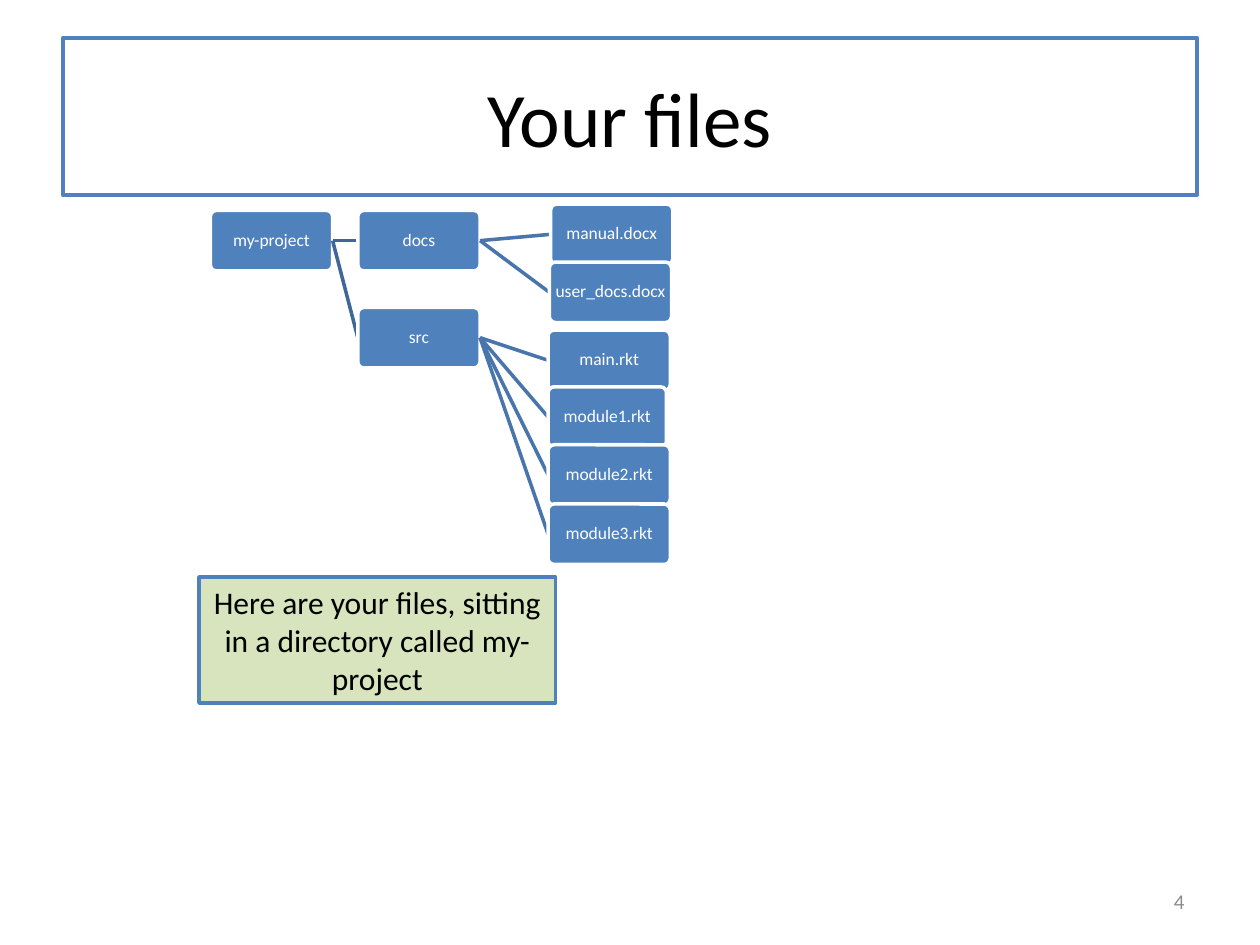
"""Build the "Your files" slide: a directory tree on a grid of 100 columns by 75 rows."""
from lxml.etree import SubElement
from pptx import Presentation
from pptx.dml.color import RGBColor
from pptx.enum.shapes import MSO_CONNECTOR, MSO_SHAPE
from pptx.enum.text import MSO_ANCHOR, PP_ALIGN
from pptx.oxml.ns import qn
from pptx.util import Inches, Pt

COLORS = {
    "blue": "4F81BD", "white": "FFFFFF", "black": "000000", "green": "D7E4BD",
    "gray": "8C8C8C", "root_link": "3F6797", "leaf_link": "4875AC",
}

prs = Presentation()
prs.slide_width, prs.slide_height = Inches(10), Inches(7.5)
COL, ROW = prs.slide_width / 100, prs.slide_height / 75
s = prs.slides.add_slide(prs.slide_layouts[6])


def color(name):
    return RGBColor.from_string(COLORS[name])


def add_text(text, x, y, w, h, shape=MSO_SHAPE.RECTANGLE, fill=None, line=None,
             line_pt=2, size=18, ink="black", align=PP_ALIGN.CENTER,
             inset=None, spacing=1.0):
    sp = s.shapes.add_shape(shape, int(x * COL), int(y * ROW), int(w * COL), int(h * ROW))
    sp.shadow.inherit = False
    if fill:
        sp.fill.solid()
        sp.fill.fore_color.rgb = color(fill)
    else:
        sp.fill.background()
    if line:
        sp.line.color.rgb = color(line)
        sp.line.width = Pt(line_pt)
    else:
        sp.line.fill.background()
    tf = sp.text_frame
    tf.word_wrap = True
    tf.vertical_anchor = MSO_ANCHOR.MIDDLE
    if inset is not None:
        tf.margin_left = tf.margin_right = tf.margin_top = tf.margin_bottom = Inches(inset)
    p = tf.paragraphs[0]
    p.alignment, p.line_spacing = align, spacing
    r = p.add_run()
    r.text = text
    r.font.name, r.font.size = "Calibri", Pt(size)
    r.font.color.rgb = color(ink)
    return sp


add_text("Your files", 5, 3, 90, 12.5, line="blue", line_pt=2.25, size=44)

NODE_W, NODE_H = 9.7, 4.8
tree = [
    ("my-project", None, 16.7, 16.7, NODE_W),
    ("docs", "my-project", 28.4, 16.7, NODE_W),
    ("manual.docx", "docs", 43.7, 16.2, NODE_W),
    ("user_docs.docx", "docs", 43.6, 20.8, NODE_W),
    ("src", "my-project", 28.4, 24.4, NODE_W),
    ("main.rkt", "src", 43.5, 26.2, NODE_W),
    ("module1.rkt", "src", 43.5, 30.7, 9.4),
    ("module2.rkt", "src", 43.5, 35.3, NODE_W),
    ("module3.rkt", "src", 43.5, 40, NODE_W),
]
nodes = {}
for name, parent, x, y, w in tree:
    sp = add_text(name, x, y, w, NODE_H, shape=MSO_SHAPE.ROUNDED_RECTANGLE, fill="blue",
                  line="white", size=10, ink="white", inset=0.02, spacing=0.9)
    sp.adjustments[0] = 0.1
    nodes[name] = sp
    if parent:
        link = s.shapes.add_connector(MSO_CONNECTOR.STRAIGHT, 0, 0, 0, 0)
        link.begin_connect(nodes[parent], 3)
        link.end_connect(sp, 1)
        link.line.width = Pt(2)
        link.line.color.rgb = color("root_link" if parent == "my-project" else "leaf_link")
        SubElement(link.element.spPr, qn("a:effectLst"))
        sp.element.addprevious(link.element)

add_text("Here are your files, sitting in a directory called my-project",
         15.8, 45.8, 28.3, 10, fill="green", line="blue")
add_text("4", 71.7, 69.5, 23.3, 4, size=12, ink="gray", align=PP_ALIGN.RIGHT)

prs.save("out.pptx")
